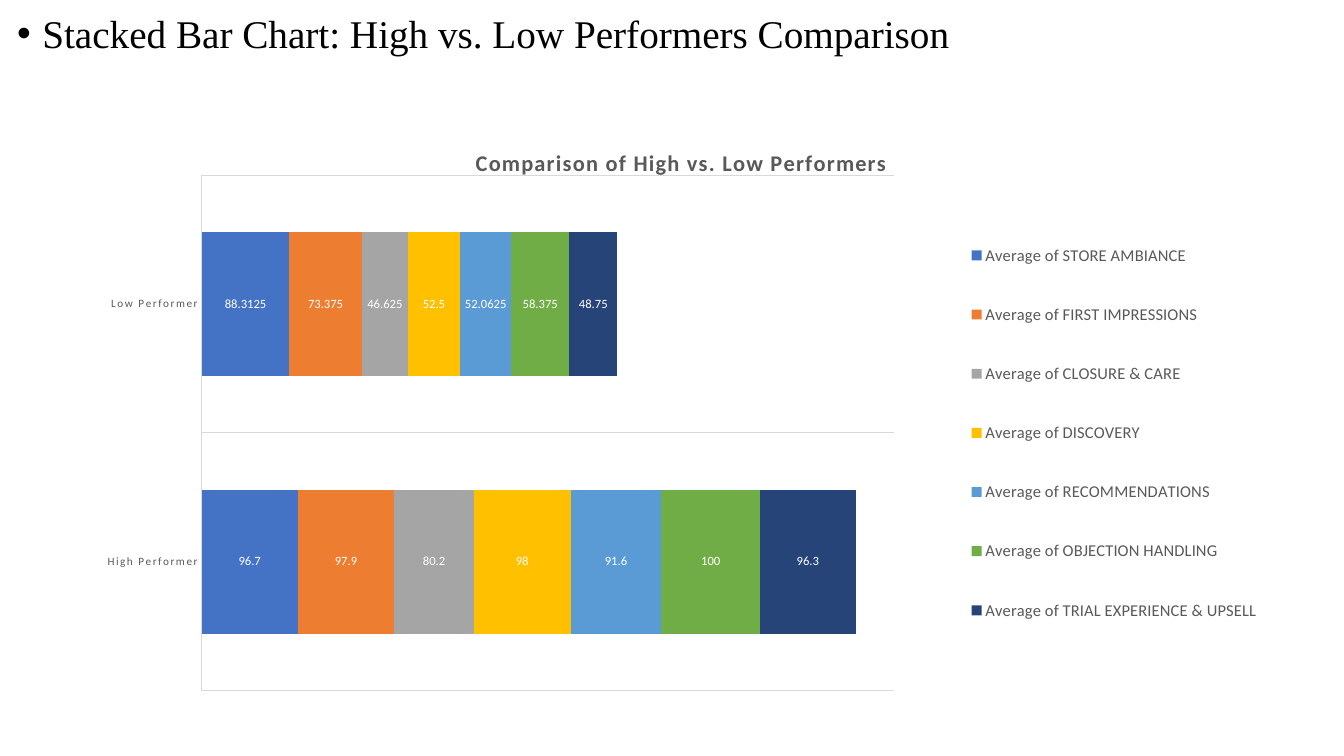
from dataclasses import dataclass

from lxml import etree
from pptx import Presentation
from pptx.chart.data import CategoryChartData
from pptx.dml.color import RGBColor
from pptx.enum.chart import XL_CHART_TYPE, XL_LABEL_POSITION, XL_LEGEND_POSITION, XL_TICK_MARK
from pptx.enum.text import MSO_ANCHOR, PP_ALIGN
from pptx.oxml import parse_xml
from pptx.oxml.ns import nsdecls, qn
from pptx.util import Inches, Pt

STACKED = XL_CHART_TYPE.BAR_STACKED
CENTER = XL_LABEL_POSITION.CENTER
RIGHT = XL_LEGEND_POSITION.RIGHT
NO_TICK = XL_TICK_MARK.NONE
TOP = MSO_ANCHOR.TOP
LEFT = PP_ALIGN.LEFT


@dataclass(frozen=True)
class Theme:
    heading_font: str = "Times New Roman"
    chart_font: str = "Calibri"
    black: str = "000000"
    white: str = "FFFFFF"
    gray: str = "595959"
    rule: str = "D9D9D9"
    heading_size: float = 28
    chart_title_size: float = 16
    chart_size: float = 10
    legend_size: float = 11.8
    label_size: float = 9
    category_size: float = 8
    letter_spacing: str = "100"


THEME = Theme()

PERFORMERS = ["High Performer", "Low Performer"]
SCORES = [
    ("STORE AMBIANCE", (96.7, 88.3125), "4472C4"),
    ("FIRST IMPRESSIONS", (97.9, 73.375), "ED7D31"),
    ("CLOSURE & CARE", (80.2, 46.625), "A5A5A5"),
    ("DISCOVERY", (98, 52.5), "FFC000"),
    ("RECOMMENDATIONS", (91.6, 52.0625), "5B9BD5"),
    ("OBJECTION HANDLING", (100, 58.375), "70AD47"),
    ("TRIAL EXPERIENCE & UPSELL", (96.3, 48.75), "264478"),
]


def style_font(font, size, color, name=THEME.chart_font, bold=False):
    font.size = Pt(size)
    font.name = name
    font.bold = bold
    font.color.rgb = RGBColor.from_string(color)


def style_rule(line):
    line.color.rgb = RGBColor.from_string(THEME.rule)
    line.width = Pt(0.75)


def set_layout(part, x, y, w=None, h=None, inner=False):
    """Place a chart part at fractions of the chart area."""
    fields = [("xMode", "edge"), ("yMode", "edge"), ("x", x), ("y", y)]
    if inner:
        fields.insert(0, ("layoutTarget", "inner"))
    if w is not None:
        fields += [("w", w), ("h", h)]
    body = "".join(f'<c:{tag} val="{value}"/>' for tag, value in fields)
    layout = parse_xml(
        f'<c:layout {nsdecls("c")}><c:manualLayout>{body}</c:manualLayout></c:layout>')
    for old in part.findall(qn("c:layout")):
        part.remove(old)
    before = [child for child in part
              if child.tag in (qn("c:tx"), qn("c:legendPos"), qn("c:legendEntry"))]
    part.insert(len(before), layout)


def add_heading(slide, left, top, width, height):
    heading = slide.shapes.title
    heading.left, heading.top = Inches(left), Inches(top)
    heading.width, heading.height = Inches(width), Inches(height)
    frame = heading.text_frame
    frame.text = "Stacked Bar Chart: High vs. Low Performers Comparison"
    frame.word_wrap = True
    frame.vertical_anchor = TOP
    line = frame.paragraphs[0]
    line.alignment = LEFT
    line.line_spacing = 0.9
    line.space_before = Pt(10)
    style_font(line.font, THEME.heading_size, THEME.black, THEME.heading_font)
    props = line._p.get_or_add_pPr()
    props.set("marL", str(Inches(0.25)))
    props.set("indent", str(Inches(-0.25)))
    bullet_font = etree.Element(qn("a:buFont"), typeface="Arial")
    bullet = etree.Element(qn("a:buChar"), char="•")
    for old in props.findall(qn("a:buNone")):
        props.remove(old)
    defaults = props.find(qn("a:defRPr"))
    defaults.addprevious(bullet_font)
    defaults.addprevious(bullet)


def add_comparison_chart(slide, left, top, width, height):
    data = CategoryChartData()
    data.categories = PERFORMERS
    for topic, averages, _ in SCORES:
        data.add_series(f"Average of {topic}", averages)
    chart = slide.shapes.add_chart(
        STACKED, Inches(left), Inches(top), Inches(width), Inches(height), data).chart
    style_font(chart.font, THEME.chart_size, THEME.black)
    format_chart_title(chart)
    format_bars(chart.plots[0])
    format_axes(chart)
    format_legend(chart)
    set_layout(chart._chartSpace.chart.plotArea, 0.104, 0.094, 0.57, 0.879, inner=True)


def format_chart_title(chart):
    title = chart.chart_title
    caption = title.text_frame.paragraphs[0].add_run()
    caption.text = "Comparison of High vs. Low Performers"
    style_font(caption.font, THEME.chart_title_size, THEME.gray, bold=True)
    caption.font._rPr.set("spc", THEME.letter_spacing)
    title.include_in_layout = False
    set_layout(title._element, 0.326, 0.04)


def format_bars(plot):
    plot.gap_width = 79
    plot.overlap = 100
    plot.vary_by_categories = False
    for series, (_, _, color) in zip(plot.series, SCORES):
        series.format.fill.solid()
        series.format.fill.fore_color.rgb = RGBColor.from_string(color)
        labels = series.data_labels
        labels.show_value = True
        labels.position = CENTER
        style_font(labels.font, THEME.label_size, THEME.white)


def format_axes(chart):
    performers = chart.category_axis
    performers.major_tick_mark = performers.minor_tick_mark = NO_TICK
    performers.has_major_gridlines = True
    style_rule(performers.major_gridlines.format.line)
    style_rule(performers.format.line)
    names = performers.tick_labels.font
    style_font(names, THEME.category_size, THEME.gray)
    names._rPr.set("spc", THEME.letter_spacing)
    scores = chart.value_axis
    scores.minimum_scale, scores.maximum_scale = 0, 700
    scores.has_major_gridlines = False
    scores.visible = False


def format_legend(chart):
    chart.has_legend = True
    legend = chart.legend
    legend.position = RIGHT
    legend.include_in_layout = False
    style_font(legend.font, THEME.legend_size, THEME.gray)
    set_layout(legend._element, 0.725, 0.147, 0.26, 0.773)


def main():
    deck = Presentation()
    deck.slide_width, deck.slide_height = Inches(13.33), Inches(7.5)
    slide = deck.slides.add_slide(deck.slide_layouts.get_by_name("Title Only"))
    add_heading(slide, 0.07, 0.09, 13.17, 7.28)
    add_comparison_chart(slide, 0.75, 1.19, 12.05, 5.82)
    deck.save("out.pptx")


if __name__ == "__main__":
    main()
